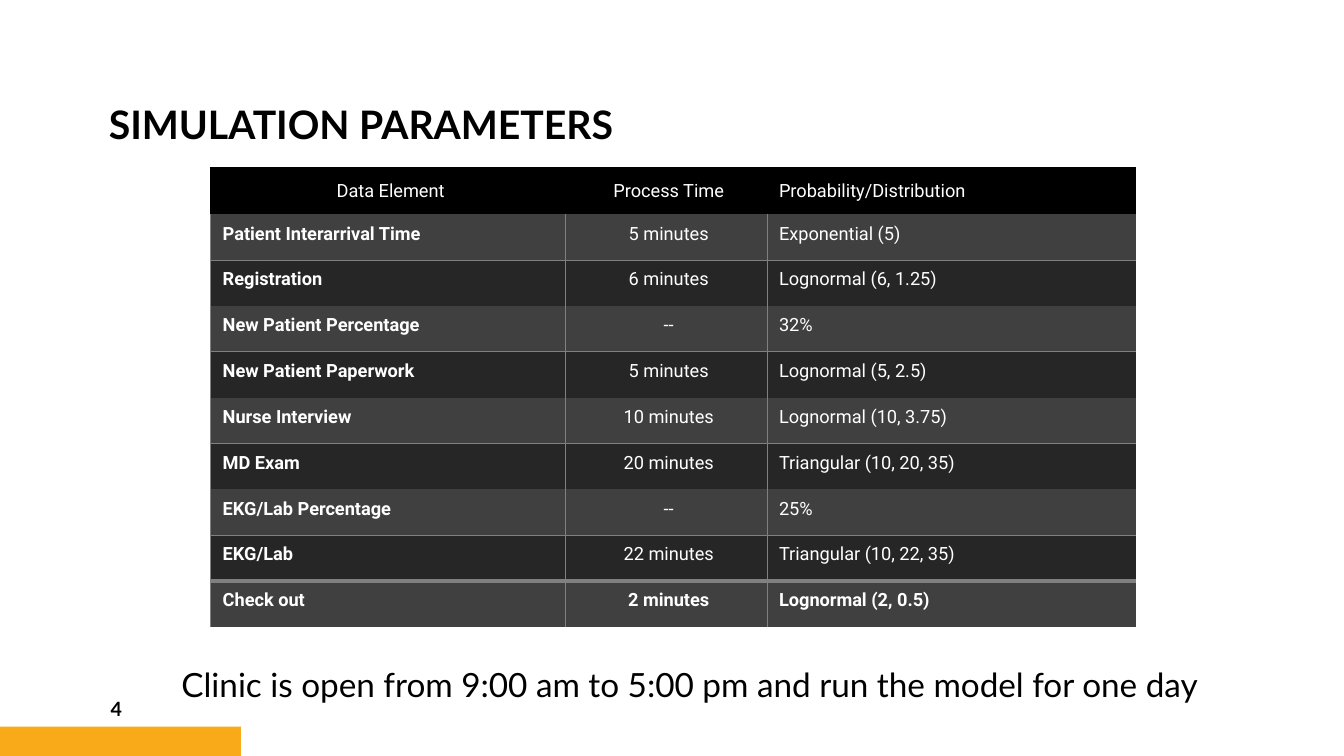
from lxml.etree import SubElement
from pptx import Presentation
from pptx.dml.color import RGBColor
from pptx.enum.shapes import MSO_SHAPE
from pptx.enum.text import MSO_ANCHOR, PP_ALIGN
from pptx.oxml.ns import qn
from pptx.util import Emu, Inches, Pt

PX = Inches(1) // 200
BLACK = RGBColor(0x00, 0x00, 0x00)
WHITE = RGBColor(0xFF, 0xFF, 0xFF)
AMBER = RGBColor(0xF9, 0xAA, 0x19)
DARK = RGBColor(0x26, 0x26, 0x26)
MEDIUM = RGBColor(0x40, 0x40, 0x40)
GREY = RGBColor(0x80, 0x80, 0x80)

COLUMN_WIDTHS = [704, 400, 732]
ALIGNMENTS = [PP_ALIGN.LEFT, PP_ALIGN.CENTER, PP_ALIGN.LEFT]
ROW_HEIGHT = 91
PARAMETERS = [
    ("Data Element", "Process Time", "Probability/Distribution"),
    ("Patient Interarrival Time", "5 minutes", "Exponential (5)"),
    ("Registration", "6 minutes", "Lognormal (6, 1.25)"),
    ("New Patient Percentage", "--", "32%"),
    ("New Patient Paperwork", "5 minutes", "Lognormal (5, 2.5)"),
    ("Nurse Interview", "10 minutes", "Lognormal (10, 3.75)"),
    ("MD Exam", "20 minutes", "Triangular (10, 20, 35)"),
    ("EKG/Lab Percentage", "--", "25%"),
    ("EKG/Lab", "22 minutes", "Triangular (10, 22, 35)"),
    ("Check out", "2 minutes", "Lognormal (2, 0.5)"),
]


def px(n):
    return Emu(n * PX)


def apply(obj, values):
    for name, value in values.items():
        setattr(obj, name, value)


def place(sp, left, top, width, height):
    apply(sp, {"left": px(left), "top": px(top),
               "width": px(width), "height": px(height)})


def write(tf, text, font, color, paragraph):
    p = tf.paragraphs[0]
    apply(p, paragraph)
    r = p.add_run()
    r.text = text
    apply(r.font, font)
    r.font.color.rgb = color


def add_title(s, box, text):
    sp = s.shapes.title
    place(sp, *box)
    apply(sp.text_frame, {"vertical_anchor": MSO_ANCHOR.BOTTOM, "word_wrap": True})
    write(sp.text_frame, text, {"name": "Lato", "size": Pt(28), "bold": True},
          BLACK, {"alignment": PP_ALIGN.LEFT, "line_spacing": 0.9})


def add_text(s, box, text, font, paragraph, anchor):
    tf = s.shapes.add_textbox(*map(px, box)).text_frame
    apply(tf, {"word_wrap": True, "vertical_anchor": anchor})
    write(tf, text, font, BLACK, paragraph)


def add_bar(s, box, color):
    sp = s.shapes.add_shape(MSO_SHAPE.RECTANGLE, *map(px, box))
    sp.shadow.inherit = False
    sp.fill.solid()
    sp.fill.fore_color.rgb = color
    sp.line.fill.background()


def set_borders(cell, borders):
    tcPr = cell._tc.get_or_add_tcPr()
    for i, side in enumerate("LRTB"):
        ln = SubElement(tcPr, qn(f"a:ln{side}"))
        tcPr.insert(i, ln)
        if side in borders:
            color, width = borders[side]
            ln.set("w", str(Pt(width)))
            fill = SubElement(ln, qn("a:solidFill"))
            SubElement(fill, qn("a:srgbClr")).set("val", str(color))
        else:
            SubElement(ln, qn("a:noFill"))


def cell_borders(row, col):
    last_row = len(PARAMETERS) - 1
    if row == 0:
        sides = "T" if col else "LT"
        return {side: (BLACK, 1.5) for side in sides}
    thin, thick = (GREY, 0.5), (GREY, 3)
    borders = {"L": thin}
    if col < len(COLUMN_WIDTHS) - 1:
        borders["R"] = thin
    if row == last_row:
        borders["T"] = thick
    else:
        borders["B" if row % 2 else "T"] = thin
    if row == last_row - 1:
        borders["B"] = thick
    return borders


def fill_cell(cell, row, col, text):
    header, last = row == 0, row == len(PARAMETERS) - 1
    apply(cell, {"margin_left": px(24), "margin_right": px(14),
                 "margin_top": px(18), "margin_bottom": px(18),
                 "vertical_anchor": MSO_ANCHOR.MIDDLE if header else MSO_ANCHOR.TOP})
    cell.fill.solid()
    cell.fill.fore_color.rgb = BLACK if header else MEDIUM if row % 2 else DARK
    bold = last or (col == 0 and not header)
    align = PP_ALIGN.CENTER if header and col == 0 else ALIGNMENTS[col]
    write(cell.text_frame, text, {"name": "Roboto", "size": Pt(13), "bold": bold},
          WHITE, {"alignment": align})
    set_borders(cell, cell_borders(row, col))


def add_parameter_table(s, left, top):
    rows, cols = len(PARAMETERS), len(COLUMN_WIDTHS)
    box = left, top, sum(COLUMN_WIDTHS), rows * ROW_HEIGHT
    table = s.shapes.add_table(rows, cols, *map(px, box)).table
    for column, width in zip(table.columns, COLUMN_WIDTHS):
        column.width = px(width)
    for i, values in enumerate(PARAMETERS):
        table.rows[i].height = px(ROW_HEIGHT)
        for j, text in enumerate(values):
            fill_cell(table.cell(i, j), i, j, text)


def main():
    prs = Presentation()
    apply(prs, {"slide_width": px(2667), "slide_height": px(1500)})
    s = prs.slides.add_slide(prs.slide_layouts[5])
    add_bar(s, (0, 1442, 478, 60), AMBER)
    add_title(s, (196, 30, 1350, 274), "SIMULATION PARAMETERS")
    add_text(s, (200, 1366, 260, 80), "4",
             {"name": "Lato", "size": Pt(14), "bold": True},
             {"space_after": Pt(6)}, MSO_ANCHOR.MIDDLE)
    add_parameter_table(s, 418, 334)
    add_text(s, (230, 1294, 2276, 112),
             "Clinic is open from 9:00 am to 5:00 pm and run the model for one day",
             {"name": "Lato", "size": Pt(23.8)},
             {"alignment": PP_ALIGN.CENTER, "line_spacing": 0.8}, MSO_ANCHOR.BOTTOM)
    prs.save("out.pptx")


if __name__ == "__main__":
    main()
